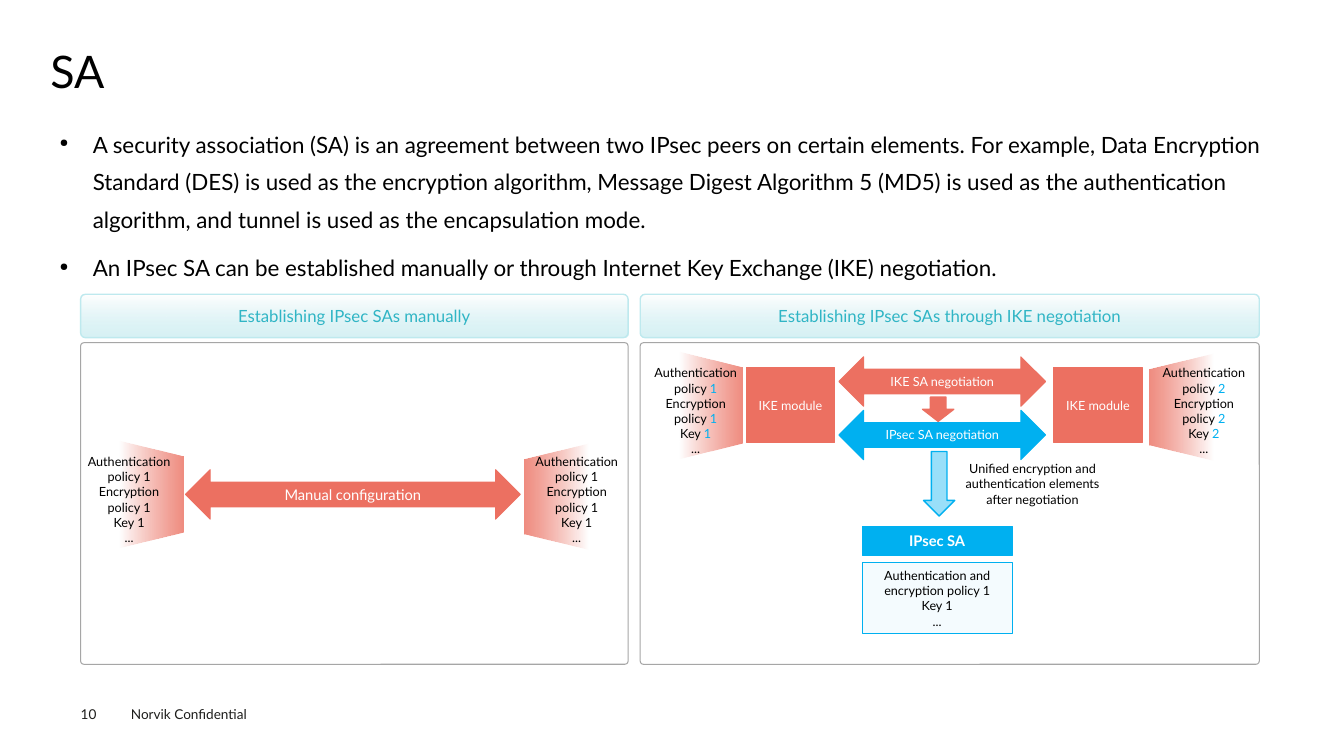
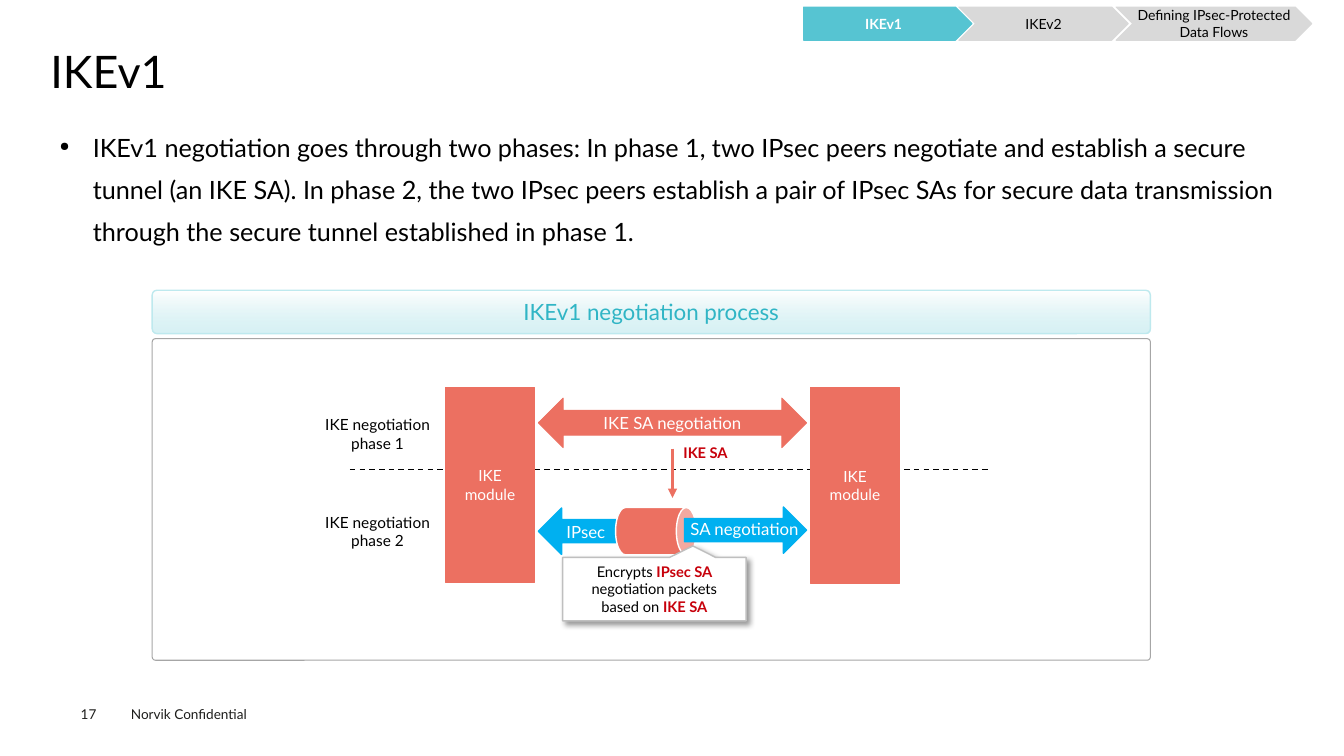
import pptx
import pptx.util
import pptx.dml.color
import pptx.enum.dml
import pptx.enum.shapes
import pptx.enum.text
import pptx.oxml
import pptx.oxml.ns

Pt = pptx.util.Pt
RGB = pptx.dml.color.RGBColor
KIND = pptx.enum.shapes.MSO_SHAPE
ALIGN = pptx.enum.text.PP_ALIGN
ANCHOR = pptx.enum.text.MSO_ANCHOR
NS = pptx.oxml.ns.nsdecls("a")
PX = 9144  # 100 px to the inch

# Shared look
FONT = "Lato"
BLACK, WHITE, INK = RGB(0, 0, 0), RGB(255, 255, 255), RGB(0x1D, 0x1D, 0x1B)
CORAL, BLUE, RED = RGB(0xEC, 0x70, 0x61), RGB(0, 0xB0, 0xF0), RGB(0xC7, 0, 0x0B)
SKY, PALE = RGB(0x99, 0xDF, 0xF9), RGB(0xF4, 0xFB, 0xFE)
TEAL, AQUA, MINT = RGB(0x30, 0xB5, 0xC5), RGB(0x56, 0xC4, 0xD2), RGB(0xBE, 0xE9, 0xEE)
GREY, SILVER, LIGHT = RGB(0xA6, 0xA6, 0xA6), RGB(0xBF, 0xBF, 0xBF), RGB(0xD9, 0xD9, 0xD9)
OWNER = "Norvik Confidential"

# Content: asterisks enclose accented words, line ends part paragraphs
SA_TEXT = (
    "A security association (SA) is an agreement between two IPsec peers on certain elements. "
    "For example, Data Encryption Standard (DES) is used as the encryption algorithm, "
    "Message Digest Algorithm 5 (MD5) is used as the authentication algorithm, "
    "and tunnel is used as the encapsulation mode.\n"
    "An IPsec SA can be established manually or through Internet Key Exchange (IKE) negotiation."
)
IKE_TEXT = (
    "IKEv1 negotiation goes through two phases: In phase 1, two IPsec peers negotiate and "
    "establish a secure tunnel (an IKE SA). In phase 2, the two IPsec peers establish a pair of "
    "IPsec SAs for secure data transmission through the secure tunnel established in phase 1."
)
POLICY = "Authentication policy {0}\nEncryption policy {0}\nKey {0}\n..."
# key, text box, trapezoid left and top, turn
POLICIES = [
    ("1", (72, 445, 112, 101), (97, 459), 90),
    ("1", (515, 445, 114, 101), (499, 461), 270),
    ("*1*", (638, 357, 104, 101), (652, 370), 90),
    ("*2*", (1140, 357, 108, 101), (1119, 372), 270),
]
# left, width, heading
PANELS = [
    (80, 543, "Establishing IPsec SAs manually"),
    (635, 614, "Establishing IPsec SAs through IKE negotiation"),
]
# box, colour, size, label
ARROWS = [
    ((184, 466, 332, 49), CORAL, 10.5, "Manual configuration"),
    ((832, 354, 205, 49), CORAL, 9, "IKE SA negotiation"),
    ((832, 407, 205, 49), BLUE, 9, "IPsec SA negotiation"),
]
# kind, left, width, label, fill, text colour, side inset
STEPS = [
    (KIND.PENTAGON, 797, 167, "IKEv1", AQUA, WHITE, 0),
    (KIND.CHEVRON, 951, 168, "IKEv2", LIGHT, BLACK, 0),
    (KIND.CHEVRON, 1107, 194, "Defining IPsec-Protected Data Flows", LIGHT, BLACK, 4),
]


def emu(*sizes):
    return [size * PX for size in sizes]


def write(shape, text, size=9, color=BLACK, bold=False, align=ALIGN.CENTER,
          anchor=ANCHOR.MIDDLE, inset=(10, 5), wrap=True, accent=BLUE, strong=False,
          line=None, before=None, bullet=False):
    frame = shape.text_frame
    frame.auto_size = pptx.enum.text.MSO_AUTO_SIZE.NONE
    frame.word_wrap, frame.vertical_anchor = wrap, anchor
    frame.margin_left = frame.margin_right = inset[0] * PX
    frame.margin_top = frame.margin_bottom = inset[1] * PX
    for row, words in enumerate(text.split("\n")):
        para = frame.add_paragraph() if row else frame.paragraphs[0]
        para.alignment = align
        if line:
            para.line_spacing = line
        if before:
            para.space_before = Pt(before)
        if bullet:
            props = para._p.get_or_add_pPr()
            props.set("marL", str(33 * PX))
            props.set("indent", str(-33 * PX))
            for tag in ('buSzPct %s val="50000"', 'buChar %s char="●"'):
                props.append(pptx.oxml.parse_xml(f"<a:{tag % NS}/>"))
        for turn, part in enumerate(words.split("*")):
            if part:
                run = para.add_run()
                run.text = part
                font = run.font
                font.name, font.size = FONT, Pt(size)
                font.color.rgb = accent if turn % 2 else color
                font.bold = bold or (strong and turn % 2 == 1)


def label(slide, box, text, **form):
    write(slide.shapes.add_textbox(*emu(*box)), text, **form)


def draw(slide, kind, box, fill=None, edge=None, width=0.75, adjust=(), turn=0):
    shape = slide.shapes.add_shape(kind, *emu(*box))
    shape.shadow.inherit = False
    shape.rotation = turn
    for spot, value in enumerate(adjust):
        shape.adjustments[spot] = value
    if fill is None:
        shape.fill.background()
    else:
        shape.fill.solid()
        shape.fill.fore_color.rgb = fill
    if edge is None:
        shape.line.fill.background()
    else:
        shape.line.color.rgb = edge
        shape.line.width = Pt(width)
    return shape


def fade(shape, color, alpha, angle):
    shape.fill.gradient()
    shape.fill.gradient_angle = angle
    stops = shape.fill.gradient_stops
    stops[0].color.rgb, stops[1].color.rgb = WHITE, color
    stops[0].position, stops[1].position = 0, 1
    tone = shape._element.spPr.findall(".//" + pptx.oxml.ns.qn("a:srgbClr"))
    last = [item for item in tone if item.get("val") == str(color)][0]
    last.append(pptx.oxml.parse_xml(f'<a:alpha {NS} val="{alpha * 1000}"/>'))


def link(slide, start, end, color, width, dash=False, arrow=False):
    line = slide.shapes.add_connector(
        pptx.enum.shapes.MSO_CONNECTOR.STRAIGHT, *emu(*start, *end))
    line.line.color.rgb, line.line.width = color, Pt(width)
    if dash:
        line.line.dash_style = pptx.enum.dml.MSO_LINE.DASH
    if arrow:
        line.line._get_or_add_ln().append(
            pptx.oxml.parse_xml(f'<a:tailEnd {NS} type="triangle"/>'))
    line._element.spPr.append(pptx.oxml.parse_xml(f"<a:effectLst {NS}/>"))


def page(deck, number, title, body, size):
    slide = deck.slides.add_slide(deck.slide_layouts[5])
    head = slide.shapes.title
    head.left, head.top, head.width, head.height = emu(50, 49, 1235, 54)
    plain = dict(align=ALIGN.LEFT, anchor=ANCHOR.TOP)
    write(head, title, size=32, inset=(0, 0), line=0.9, **plain)
    label(slide, (50, 115, 1235, 533), body, size=size, inset=(9, 4),
          line=1.4, before=7.9, bullet=True, **plain)
    label(slide, (80, 700, 55, 16), number, size=9.7, color=INK, inset=(0, 0), **plain)
    label(slide, (120, 695, 160, 27), OWNER, size=9.7, color=INK, **plain)
    return slide


def panel(slide, left, top, width, text, size):
    draw(slide, KIND.ROUNDED_RECTANGLE, (left, top + 48, width, 319), edge=GREY, adjust=[0.01])
    band = draw(slide, KIND.ROUNDED_RECTANGLE, (left, top, width, 43),
                edge=MINT, width=1, adjust=[0.11])
    fade(band, MINT, 60, 270)
    write(band, text, size=size, color=TEAL, inset=(0, 0))


def block(slide, kind, box, color, text, size, **form):
    shape = draw(slide, kind, box, color, color)
    write(shape, text, size=size, color=WHITE, **form)


def sa_page(deck):
    slide = page(deck, "10", "SA", SA_TEXT, 16)
    for left, width, text in PANELS:
        panel(slide, left, 292, width, text, 12)

    # Peers and their policies
    for left in (740, 1045):
        block(slide, KIND.RECTANGLE, (left, 365, 88, 74), CORAL, "IKE module", 9, wrap=False)
    for key, box, spot, turn in POLICIES:
        side = draw(slide, KIND.TRAPEZOID, (*spot, 106, 63), adjust=[0.25], turn=turn)
        fade(side, CORAL, 80, 90)
        label(slide, box, POLICY.format(key))

    # Negotiation
    for box, color, size, text in ARROWS:
        block(slide, KIND.LEFT_RIGHT_ARROW, box, color, text, size)
    draw(slide, KIND.DOWN_ARROW, (915, 394, 31, 24), CORAL, CORAL, 1)
    draw(slide, KIND.DOWN_ARROW, (916, 448, 31, 64), SKY, BLUE, 1)
    label(slide, (943, 452, 162, 56),
          "Unified encryption and authentication elements after negotiation")

    # Result
    block(slide, KIND.RECTANGLE, (855, 522, 149, 29), BLUE, "IPsec SA", 10.5, bold=True)
    result = draw(slide, KIND.RECTANGLE, (855, 558, 149, 71), PALE, BLUE)
    write(result, "Authentication and encryption policy 1\nKey 1\n...")


def ike_page(deck):
    slide = page(deck, "17", "IKEv1", IKE_TEXT, 18)
    panel(slide, 151, 288, 990, "IKEv1 negotiation process", 16)

    # Phases and peers
    link(slide, (347, 466), (982, 466), BLACK, 1, dash=True)
    for phase, top in enumerate((407, 504), 1):
        label(slide, (305, top, 139, 47), f"IKE negotiation phase {phase}",
              size=11, anchor=ANCHOR.TOP)
    for left, height in ((442, 194), (804, 195)):
        block(slide, KIND.RECTANGLE, (left, 384, 88, height), CORAL, "IKE module", 11)

    # Phase 1
    block(slide, KIND.LEFT_RIGHT_ARROW, (534, 395, 266, 49), CORAL, "IKE SA negotiation", 12)
    link(slide, (667, 445), (667, 494), CORAL, 2.25, arrow=True)
    loose = dict(align=ALIGN.LEFT, anchor=ANCHOR.TOP)
    label(slide, (668, 435, 68, 29), "IKE SA", size=10.5, color=RED, bold=True,
          wrap=False, **loose)

    # Phase 2 tunnel
    draw(slide, KIND.LEFT_ARROW, (534, 504, 80, 46), BLUE, BLUE, 1)
    draw(slide, KIND.CAN, (627, 487, 47, 80), CORAL, WHITE, 1, [0.42], 90)
    draw(slide, KIND.RIGHT_ARROW, (679, 503, 121, 46), BLUE, BLUE, 1)
    label(slide, (552, 513, 58, 30), "IPsec", size=12, color=WHITE, wrap=False, **loose)
    label(slide, (675, 510, 132, 30), "SA negotiation", size=12, color=WHITE, **loose)

    # Callout
    note = draw(slide, KIND.RECTANGULAR_CALLOUT, (558, 553, 182, 63),
                WHITE, SILVER, 1, [0.21, -0.68])
    note._element.spPr.find(pptx.oxml.ns.qn("a:effectLst")).append(pptx.oxml.parse_xml(
        f'<a:outerShdw {NS} blurRad="{Pt(4)}" dist="{Pt(3)}" dir="2700000" algn="tl">'
        '<a:srgbClr val="000000"><a:alpha val="40000"/></a:srgbClr></a:outerShdw>'))
    write(note, "Encrypts *IPsec SA *negotiation packets based on *IKE SA*",
          size=10.5, accent=RED, strong=True)

    # Chapter steps
    for kind, left, width, text, fill, color, side in STEPS:
        step = draw(slide, kind, (left, 7, width, 33), fill, fill)
        write(step, text, size=10, color=color, bold=color == WHITE, inset=(side, 0))


def main():
    deck = pptx.Presentation()
    deck.slide_width, deck.slide_height = emu(1333, 750)
    sa_page(deck)
    ike_page(deck)
    deck.save("out.pptx")


if __name__ == "__main__":
    main()
